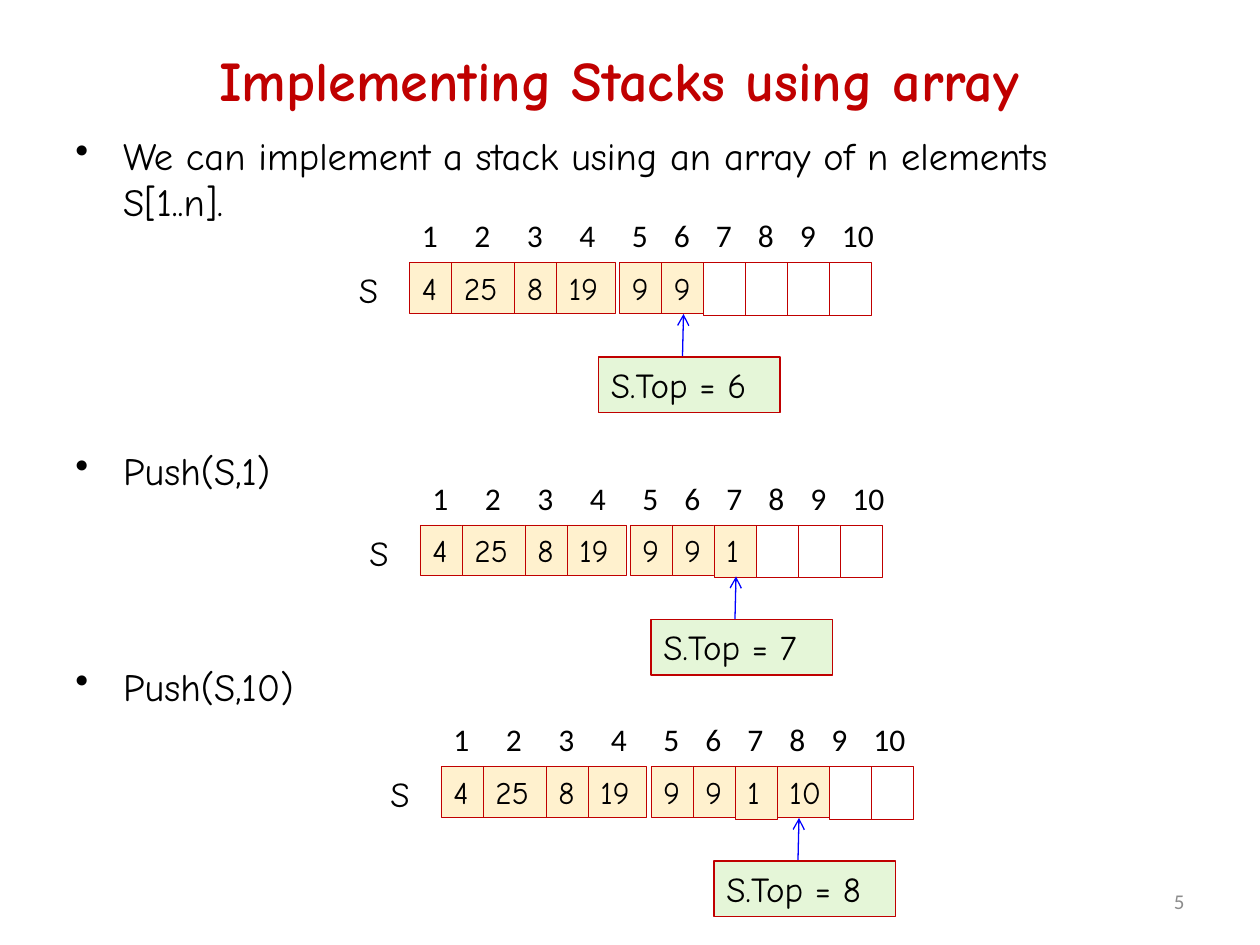
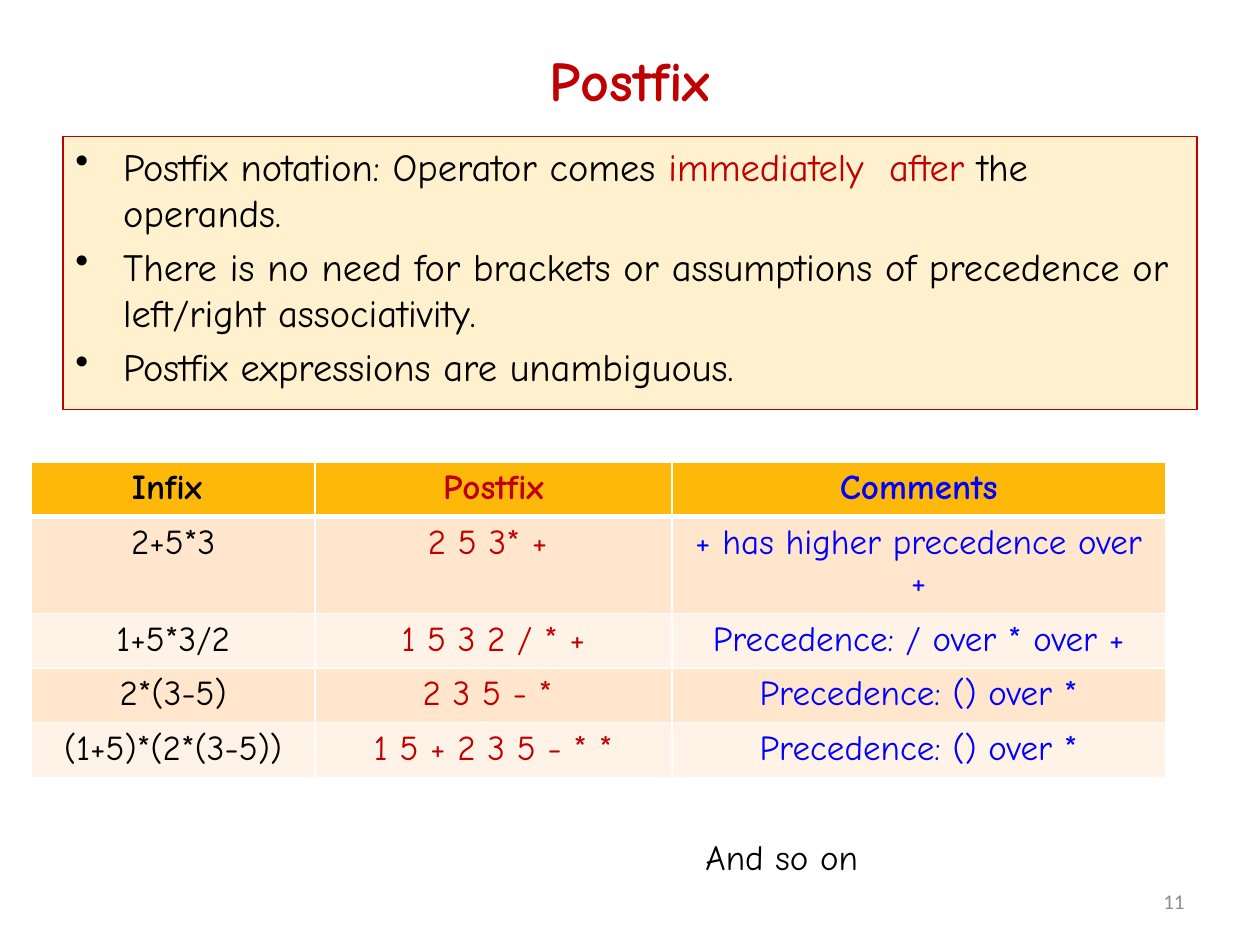
import dataclasses

import lxml.etree
import pptx
import pptx.dml.color
import pptx.enum.shapes
import pptx.enum.text
import pptx.oxml
import pptx.oxml.ns
import pptx.util

ALIGN = pptx.enum.text.PP_ALIGN
ANCHOR = pptx.enum.text.MSO_ANCHOR
qn = pptx.oxml.ns.qn


@dataclasses.dataclass(frozen=True)
class Theme:
    hand: str = "Comic Neue"
    plain: str = "Calibri"
    black: str = "000000"
    white: str = "FFFFFF"
    red: str = "C00000"
    blue: str = "0000FF"
    grey: str = "8C8C8C"
    cream: str = "FFF1CE"
    green: str = "E5F6D8"
    header: str = "FEB80A"
    bands: tuple = ("FFE6CC", "FFF3E7")
    title: int = 32
    body: int = 22
    label: int = 20
    cell: int = 18
    number: int = 12
    thin: float = 0.25
    line: float = 0.75


THEME = Theme()
COLUMNS, ROWS = 120, 90
PLAIN_CELL = (4, 4.3, 4.8)
CELLS = {
    "25": (6, 6.1, 4.8),
    "19": (6, 5.6, 4.8),
    "1": (4, 4, 5),
    "10": (5, 6, 4.8),
    "": (4, 4, 5),
}
INDEX_OFFSETS = (0, 5, 10, 15, 20, 24, 28, 32, 36, 40)
CAPACITY = 10


def rgb(color):
    return pptx.dml.color.RGBColor.from_string(color)


def write(tf, paragraphs, size=THEME.label, color=THEME.black, font=THEME.hand,
          bold=False, align=ALIGN.LEFT, anchor=ANCHOR.TOP, bullet=False,
          gaps=(), tight=True):
    tf.word_wrap = True
    tf.vertical_anchor = anchor
    if tight:
        tf.margin_right = 0
    if isinstance(paragraphs, str):
        paragraphs = [paragraphs]
    for i, runs in enumerate(paragraphs):
        p = tf.add_paragraph() if i else tf.paragraphs[0]
        p.alignment = align
        if bullet:
            pPr = p._p.get_or_add_pPr()
            indent = pptx.util.Inches(0.38)
            pPr.set("marL", str(indent))
            pPr.set("indent", str(-indent))
            lxml.etree.SubElement(pPr, qn("a:buChar")).set("char", "•")
        if i and gaps:
            p.space_before = pptx.util.Pt(gaps[i - 1])
        if isinstance(runs, str):
            runs = [(runs, color)]
        for words, tint in runs:
            r = p.add_run()
            r.text = words
            r.font.name = font
            r.font.size = pptx.util.Pt(size)
            r.font.bold = bold
            r.font.color.rgb = rgb(tint)


class Deck:
    def __init__(self, theme):
        self.theme = theme
        self.prs = pptx.Presentation()
        self.prs.slide_width = pptx.util.Inches(10)
        self.prs.slide_height = pptx.util.Inches(7.5)
        self.s = None

    def x(self, columns):
        return round(self.prs.slide_width * columns / COLUMNS)

    def y(self, rows):
        return round(self.prs.slide_height * rows / ROWS)

    def area(self, left, top, width, height):
        return self.x(left), self.y(top), self.x(width), self.y(height)

    def slide(self, title, number, title_left=6):
        t = self.theme
        self.s = self.prs.slides.add_slide(self.prs.slide_layouts[6])
        self.text((title_left, 0, 108, 15), title, size=t.title, color=t.red,
                  bold=True, align=ALIGN.CENTER, anchor=ANCHOR.MIDDLE, tight=False)
        self.text((86, 83.4, 28, 4.8), number, size=t.number, color=t.grey,
                  font=t.plain, align=ALIGN.RIGHT, anchor=ANCHOR.MIDDLE, tight=False)

    def text(self, at, words, **fmt):
        write(self.s.shapes.add_textbox(*self.area(*at)).text_frame, words, **fmt)

    def box(self, at, fill, width, words="", **fmt):
        kind = pptx.enum.shapes.MSO_SHAPE.RECTANGLE
        sp = self.s.shapes.add_shape(kind, *self.area(*at))
        sp.shadow.inherit = False
        sp.fill.solid()
        sp.fill.fore_color.rgb = rgb(fill)
        sp.line.color.rgb = rgb(self.theme.red)
        sp.line.width = pptx.util.Pt(width)
        if words:
            write(sp.text_frame, words, **fmt)

    def arrow(self, x1, y1, x2, y2):
        kind = pptx.enum.shapes.MSO_CONNECTOR.STRAIGHT
        line = self.s.shapes.add_connector(
            kind, self.x(x1), self.y(y1), self.x(x2), self.y(y2))
        line.line.color.rgb = rgb(self.theme.blue)
        line.line.width = pptx.util.Pt(self.theme.line)
        ln = line.line._get_or_add_ln()
        lxml.etree.SubElement(ln, qn("a:tailEnd")).set("type", "arrow")
        lxml.etree.SubElement(line._element.spPr, qn("a:effectLst"))

    def stack(self, left, top, values):
        t = self.theme
        self.text((left - 6, top, 4.8, 5.3), "S")
        x = left
        for value in values + [""] * (CAPACITY - len(values)):
            step, width, height = CELLS.get(value, PLAIN_CELL)
            self.box((x, top, width, height), t.cream if value else t.white,
                     t.thin, value, size=t.cell)
            x += step
        for i, offset in enumerate(INDEX_OFFSETS, 1):
            self.text((left + offset, top - 5, 5.5, 4.8), str(i),
                      size=t.cell, font=t.plain)
        pointer = left + 4 * len(values) + 2
        self.arrow(pointer, top + 9, pointer + 0.1, top + 4.9)
        self.box((pointer - 8, top + 9, 17.3, 5.3), t.green, t.line,
                 f"S.Top = {len(values)}")

    def border(self, cell, side, width):
        tcPr = cell._tc.get_or_add_tcPr()
        ln = lxml.etree.SubElement(tcPr, qn(f"a:ln{side}"))
        ln.set("w", str(pptx.util.Pt(width)))
        fill = lxml.etree.SubElement(ln, qn("a:solidFill"))
        lxml.etree.SubElement(fill, qn("a:srgbClr")).set("val", self.theme.white)

    def table(self, left, top, widths, heights, rows, colors):
        t = self.theme
        at = self.area(left, top, sum(widths), sum(heights))
        table = self.s.shapes.add_table(len(rows), len(widths), *at).table
        for column, width in zip(table.columns, widths):
            column.width = self.x(width)
        for i, (row, values) in enumerate(zip(table.rows, rows)):
            row.height = self.y(heights[i])
            for cell, value, color in zip(row.cells, values, colors):
                for side in "LRTB":
                    heavy = (i, side) in ((0, "B"), (1, "T"))
                    self.border(cell, side, 3 if heavy else 1)
                cell.fill.solid()
                cell.fill.fore_color.rgb = rgb(t.bands[(i - 1) % 2] if i else t.header)
                write(cell.text_frame, value, color=color, bold=i == 0,
                      align=ALIGN.CENTER, tight=False)


def array_slide(deck):
    deck.slide("Implementing Stacks using array", "5", title_left=5)
    deck.text((6, 12, 101, 76), [
        "We can implement a stack using an array of n elements S[1..n].",
        "Push(S,1)",
        "Push(S,10)",
    ], size=deck.theme.body, bullet=True, gaps=(127.4, 96.6), tight=False)
    values = ["4", "25", "8", "19", "9", "9"]
    deck.stack(39, 25, values)
    deck.stack(40, 50, values + ["1"])
    deck.stack(42, 73, values + ["1", "10"])


def postfix_slide(deck):
    t = deck.theme
    deck.slide("Postfix", "11")
    deck.box((6, 13, 108, 26), t.cream, t.line, [
        [("Postfix notation: Operator comes ", t.black),
         ("immediately  after ", t.red),
         ("the operands.", t.black)],
        "There is no need for brackets or assumptions of precedence or "
        "left/right associativity.",
        "Postfix expressions are unambiguous.",
    ], size=t.body, bullet=True, gaps=(4.4, 4.4), tight=False)
    deck.table(3, 44, (27, 34, 47), (5, 8.8, 5, 5, 5), [
        ("Infix ", "Postfix", "Comments"),
        ("2+5*3", "2 5 3* + ", "+ has higher precedence over +"),
        ("1+5*3/2", "1 5 3 2 / * +", "Precedence: / over * over +"),
        ("2*(3-5)", "2 3 5 - * ", "Precedence: () over *"),
        ("(1+5)*(2*(3-5))", "1 5 + 2 3 5 - * *", "Precedence: () over *"),
    ], (t.black, t.red, t.blue))
    deck.text((66, 79, 18.6, 5.3), "And so on")


def main():
    deck = Deck(THEME)
    array_slide(deck)
    postfix_slide(deck)
    deck.prs.save("out.pptx")


if __name__ == "__main__":
    main()
